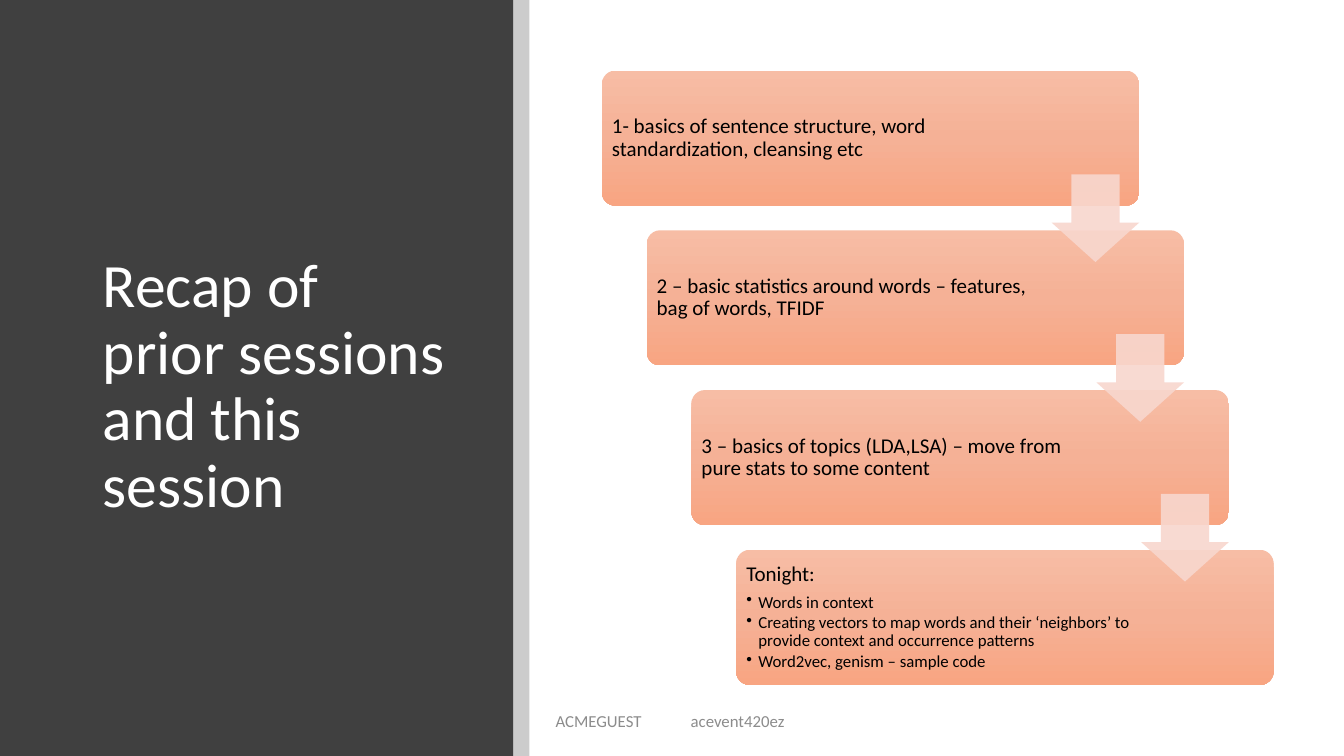
"""Build the session recap slide with a staircase of four steps."""
import copy
from dataclasses import dataclass

import lxml.etree
import pptx
import pptx.dml.color
import pptx.enum.shapes
import pptx.enum.text
import pptx.oxml.ns
import pptx.util

Inches = pptx.util.Inches
Pt = pptx.util.Pt
RGBColor = pptx.dml.color.RGBColor
Shape = pptx.enum.shapes.MSO_SHAPE
qn = pptx.oxml.ns.qn


@dataclass(frozen=True)
class Theme:
    font: str = "Calibri"
    panel: str = "404040"
    black: str = "000000"
    white: str = "FFFFFF"
    footer: str = "8C8C8C"
    arrow: str = "F8D7CE"
    card: tuple = ("F7BDA5", "F5B196", "F8A582")
    title_size: int = 44
    step_size: int = 15
    small_size: int = 12


theme = Theme()


def add_text(shapes, box, lines, size, color, inset=(0.1, 0.05, 0.1, 0.05),
             spacing=None, after=0, bullets=(), tab=None):
    frame = shapes.add_textbox(*map(Inches, box)).text_frame
    frame.word_wrap = True
    frame.vertical_anchor = pptx.enum.text.MSO_ANCHOR.MIDDLE
    frame.margin_left, frame.margin_top, frame.margin_right, frame.margin_bottom = map(Inches, inset)
    for index, line in enumerate([*lines, *bullets]):
        is_bullet = index >= len(lines)
        paragraph = frame.paragraphs[0] if index == 0 else frame.add_paragraph()
        paragraph.line_spacing = spacing
        paragraph.space_after = Pt(1.8 if is_bullet else after)
        run = paragraph.add_run()
        run.text = line
        run.font.name = theme.font
        run.font.size = Pt(theme.small_size if is_bullet else size)
        run.font.color.rgb = RGBColor.from_string(color)
        properties = paragraph._p.get_or_add_pPr()
        if is_bullet:
            paragraph.level = 1
            properties.set("marL", str(Inches(0.12)))
            properties.set("indent", str(Inches(-0.12)))
            lxml.etree.SubElement(properties, qn("a:buChar")).set("char", "•")
        if tab:
            tab_list = lxml.etree.SubElement(properties, qn("a:tabLst"))
            stop = lxml.etree.SubElement(tab_list, qn("a:tab"))
            stop.set("pos", str(Inches(tab)))
            stop.set("algn", "l")


def add_block(shapes, preset, box, color=None, opacity=100, adjustments=()):
    shape = shapes.add_shape(preset, *map(Inches, box))
    shape.shadow.inherit = False
    shape.line.fill.background()
    for index, value in enumerate(adjustments):
        shape.adjustments[index] = value
    if color:
        shape.fill.solid()
        shape.fill.fore_color.rgb = RGBColor.from_string(color)
        if opacity < 100:
            color_element = shape._element.spPr.find(qn("a:solidFill"))[0]
            lxml.etree.SubElement(color_element, qn("a:alpha")).set("val", str(opacity * 1000))
    return shape


presentation = pptx.Presentation()
presentation.slide_width = Inches(13.33)
presentation.slide_height = Inches(7.5)
slide = presentation.slides.add_slide(presentation.slide_layouts[6])

add_block(slide.shapes, Shape.RECTANGLE, (0, 0, 5.09, 7.5), theme.panel)
add_block(slide.shapes, Shape.RECTANGLE, (5.09, 0, 0.16, 7.5), theme.black, opacity=20)
add_text(slide.shapes, (0.92, 0.89, 3.65, 5.91), ["Recap of prior sessions and this session"],
         theme.title_size, theme.white, spacing=0.9)

steps = [
    ("1- basics of sentence structure, word standardization, cleansing etc", 3.77, []),
    ("2 – basic statistics around words – features, bag of words, TFIDF", 3.93, []),
    ("3 – basics of topics (LDA,LSA) – move from pure stats to some content", 3.93, []),
    ("Tonight:", 3.93, [
        "Words in context",
        "Creating vectors to map words and their ‘neighbors’ to provide context and occurrence patterns",
        "Word2vec, genism – sample code",
    ]),
]
first_left, first_top = 5.97, 0.7
step_right, step_down = 0.444, 1.585
card_width, card_height = 5.33, 1.34
arrow_size = 0.87

staircase = slide.shapes.add_group_shape().shapes
for index, (heading, text_width, bullets) in enumerate(steps):
    left = first_left + index * step_right
    top = first_top + index * step_down
    card = add_block(staircase, Shape.ROUNDED_RECTANGLE, (left, top, card_width, card_height),
                     adjustments=(0.1,))
    card.fill.gradient()
    card.fill.gradient_angle = 270
    stop_list = card._element.spPr.find(qn("a:gradFill")).find(qn("a:gsLst"))
    stop_list.insert(1, copy.deepcopy(stop_list[0]))
    for stop, position, color in zip(card.fill.gradient_stops, (0, 0.5, 1), theme.card):
        stop.position = position
        stop.color.rgb = RGBColor.from_string(color)
    add_text(staircase, (left + 0.04, top + 0.04, text_width, card_height - 0.08), [heading],
             theme.step_size, theme.black, inset=(0.06,) * 4, spacing=0.9, after=5.25,
             bullets=bullets)

for index in range(len(steps) - 1):
    left = first_left + card_width - arrow_size + index * step_right
    top = first_top + 1.03 + index * step_down
    add_block(staircase, Shape.DOWN_ARROW, (left, top, arrow_size, arrow_size), theme.arrow,
              opacity=90, adjustments=(0.55, 0.45))

add_text(slide.shapes, (4.42, 6.95, 4.5, 0.4), ["ACMEGUEST\tacevent420ez"],
         theme.small_size, theme.footer, inset=(1.09, 0.05, 0.1, 0.05), tab=1.34)

presentation.save("out.pptx")
